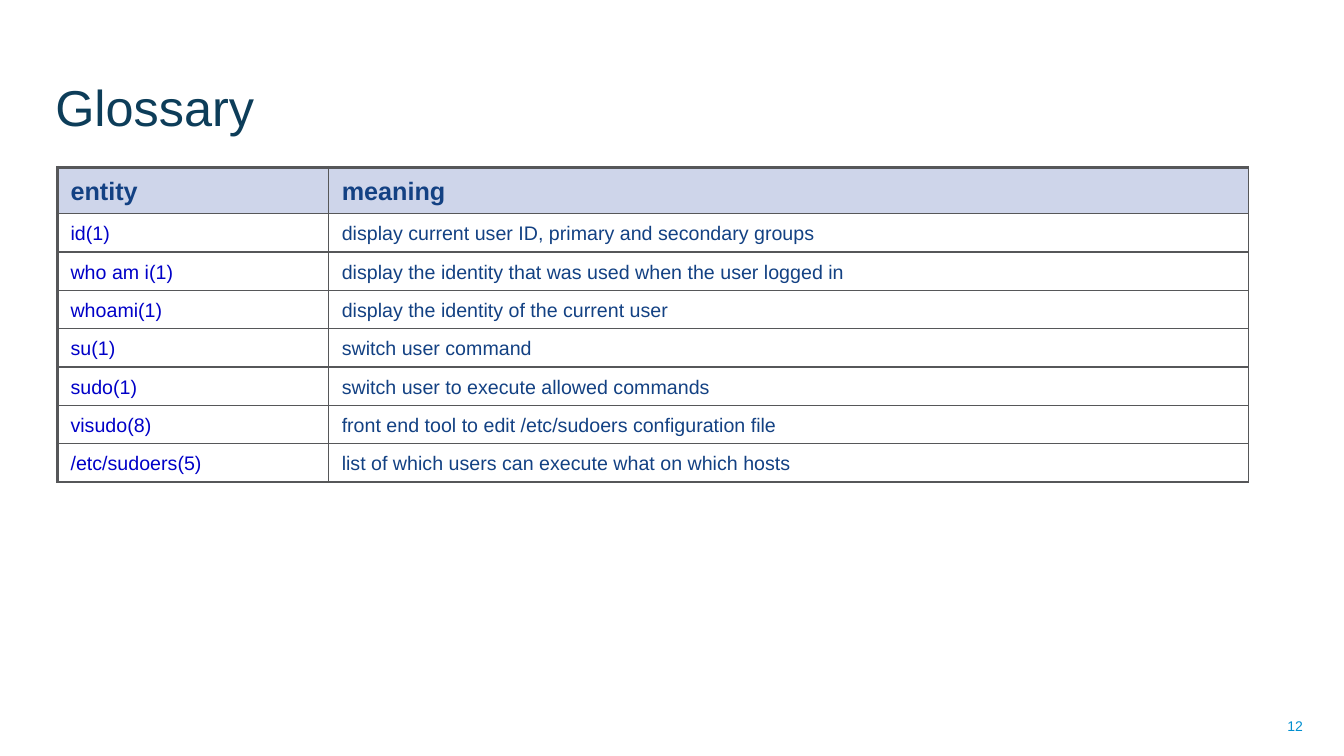
import pptx
import pptx.util
import pptx.dml.color
import pptx.enum.text
import pptx.oxml
import pptx.oxml.ns
import lxml.etree

W, H = 13.33, 7.5
FONT = "Arial"
NAVY, LINK, RULE = "134183", "0000C8", "565759"
THIN, THICK = 1, 2.25
ANCHOR = pptx.enum.text.MSO_ANCHOR
ALIGN = pptx.enum.text.PP_ALIGN

HEADER = ("entity", "meaning")
ENTRIES = [
    ("id(1)", "display current user ID, primary and secondary groups"),
    ("who am i(1)", "display the identity that was used when the user logged in"),
    ("whoami(1)", "display the identity of the current user"),
    ("su(1)", "switch user command"),
    ("sudo(1)", "switch user to execute allowed commands"),
    ("visudo(8)", "front end tool to edit /etc/sudoers configuration file"),
    ("/etc/sudoers(5)", "list of which users can execute what on which hosts"),
]


def inches(*values):
    return [pptx.util.Inches(v) for v in values]


def rgb(color):
    return pptx.dml.color.RGBColor.from_string(color)


def add_run(p, text, size, color, bold=False):
    r = p.add_run()
    r.text = text
    r.font.name = FONT
    r.font.size = pptx.util.Pt(size)
    r.font.bold = bold
    r.font.color.rgb = rgb(color)


def add_text(s, box, text, size, color, anchor, align):
    tf = s.shapes.add_textbox(*inches(*box)).text_frame
    tf.word_wrap = True
    tf.vertical_anchor = anchor
    tf.paragraphs[0].alignment = align
    add_run(tf.paragraphs[0], text, size, color)


def set_borders(cell, widths):
    """Widths in points, in the order left, right, top, bottom."""
    tc_pr = cell._tc.get_or_add_tcPr()
    qn = pptx.oxml.ns.qn
    for i, (side, width) in enumerate(zip("LRTB", widths)):
        ln = lxml.etree.Element(qn("a:ln" + side), w=str(pptx.util.Pt(width)))
        fill = lxml.etree.SubElement(ln, qn("a:solidFill"))
        lxml.etree.SubElement(fill, qn("a:srgbClr"), val=RULE)
        tc_pr.insert(i, ln)


def add_glossary(s, box, col_widths, header_height):
    rows = [HEADER] + ENTRIES
    last = len(rows) - 1
    table = s.shapes.add_table(len(rows), len(HEADER), *inches(*box)).table
    table.first_row = table.horz_banding = False
    for column, width in zip(table.columns, inches(*col_widths)):
        column.width = width
    row_height = (box[3] - header_height) / last
    for i, row in enumerate(rows):
        table.rows[i].height = pptx.util.Inches(row_height if i else header_height)
        for j, text in enumerate(row):
            cell = table.cell(i, j)
            cell.margin_left = cell.margin_right = pptx.util.Inches(0.13)
            p = cell.text_frame.paragraphs[0]
            p.line_spacing = 1.2
            if i == 0:
                cell.fill.solid()
                cell.fill.fore_color.rgb = rgb("CED5EA")
                add_run(p, text, 18, NAVY, bold=True)
            else:
                cell.fill.background()
                add_run(p, text, 14, NAVY if j else LINK)
            set_borders(cell, (THIN if j else THICK, THIN,
                               THIN if i else THICK,
                               THICK if i == last else THIN))


def glossary_slide(prs):
    s = prs.slides.add_slide(prs.slide_layouts[6])
    # Title
    add_text(s, (0.45, 0.14, 9.98, 1.26), "Glossary", 36, "0D3D59",
             ANCHOR.BOTTOM, ALIGN.LEFT)
    # Table of terms
    add_glossary(s, (0.57, 1.66, 11.81, 2.97), (2.69, 9.12), 0.44)
    # Page number
    add_text(s, (9.91, 7, 3.11, 0.4), "12", 10, "008FD0",
             ANCHOR.MIDDLE, ALIGN.RIGHT)


prs = pptx.Presentation()
prs.slide_width, prs.slide_height = inches(W, H)
glossary_slide(prs)
prs.save("out.pptx")
